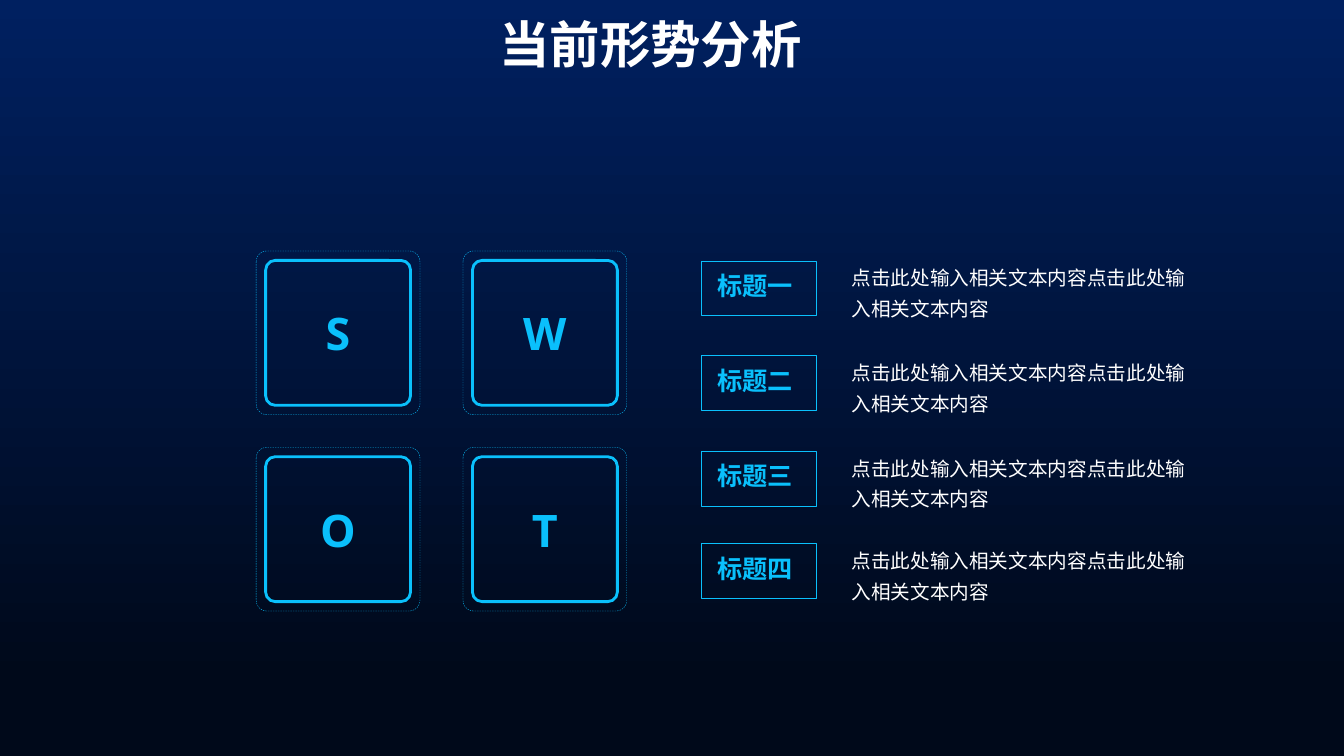
from dataclasses import dataclass

from pptx import Presentation
from pptx.dml.color import RGBColor
from pptx.enum.dml import MSO_LINE
from pptx.enum.shapes import MSO_SHAPE
from pptx.enum.text import MSO_ANCHOR, MSO_AUTO_SIZE, PP_ALIGN
from pptx.oxml.ns import qn
from pptx.util import Emu, Pt

PX = 9525


@dataclass(frozen=True)
class Theme:
    font: str = "Noto Sans"
    accent: RGBColor = RGBColor(0x0A, 0xC0, 0xFC)
    text: RGBColor = RGBColor(0xFF, 0xFF, 0xFF)
    bg_top: RGBColor = RGBColor(0x00, 0x20, 0x60)
    bg_bottom: RGBColor = RGBColor(0x00, 0x09, 0x1A)
    title_size: int = 36
    letter_size: int = 32
    label_size: int = 18
    body_size: int = 14


THEME = Theme()
TILE_LEFT, TILE_TOP = 244, 239
TILE_STEP_X, TILE_STEP_Y = 197, 187
FRAME_SIZE, FRAME_GAP = 156, 9
ROW_LEFT = 668
BODY = "点击此处输入相关文本内容点击此处输入相关文本内容"
ROWS = [(249, "标题一"), (339, "标题二"), (430, "标题三"), (518, "标题四")]


def px(*lengths):
    return [Emu(n * PX) for n in lengths]


def set_background(slide):
    fill = slide.background.fill
    fill.gradient()
    fill.gradient_angle = 270
    top, bottom = fill.gradient_stops
    top.color.rgb = THEME.bg_top
    bottom.color.rgb, bottom.position = THEME.bg_bottom, 0.9


def write(tf, text, size, color, bold=False, align=PP_ALIGN.LEFT):
    """Put one styled run in the first paragraph and return that paragraph."""
    tf.word_wrap = True
    p = tf.paragraphs[0]
    p.alignment = align
    r = p.add_run()
    r.text = text
    r.font.name = THEME.font
    r.font.size = Pt(size)
    r.font.bold = bold
    r.font.color.rgb = color
    ea = r.font._element.makeelement(qn("a:ea"), {"typeface": THEME.font})
    r.font._element.find(qn("a:latin")).addnext(ea)
    return p


def add_outline(shapes, kind, box, width):
    sp = shapes.add_shape(kind, *px(*box))
    sp.shadow.inherit = False
    sp.fill.background()
    sp.line.color.rgb = THEME.accent
    sp.line.width = Pt(width)
    if kind == MSO_SHAPE.ROUNDED_RECTANGLE:
        sp.adjustments[0] = 0.066
    return sp


def add_title(slide, text):
    title = slide.shapes.title
    title.left, title.top, title.width, title.height = px(466, 8, 552, 68)
    tf = title.text_frame
    tf.auto_size = MSO_AUTO_SIZE.NONE
    tf.vertical_anchor = MSO_ANCHOR.TOP
    write(tf, text, THEME.title_size, THEME.text, bold=True)


def add_tile(shapes, left, top, letter):
    """Draw a lettered tile inside a thin dashed frame."""
    size = FRAME_SIZE - 2 * FRAME_GAP
    tile = add_outline(shapes, MSO_SHAPE.ROUNDED_RECTANGLE,
                       (left + FRAME_GAP, top + FRAME_GAP, size, size), 2)
    tile.text_frame.vertical_anchor = MSO_ANCHOR.MIDDLE
    write(tile.text_frame, letter, THEME.letter_size, THEME.accent,
          bold=True, align=PP_ALIGN.CENTER)
    frame = add_outline(shapes, MSO_SHAPE.ROUNDED_RECTANGLE,
                        (left, top, FRAME_SIZE, FRAME_SIZE), 0.25)
    frame.line.dash_style = MSO_LINE.DASH


def add_row(slide, top, label):
    """Group a boxed label with its description."""
    shapes = slide.shapes.add_group_shape().shapes
    add_outline(shapes, MSO_SHAPE.RECTANGLE, (ROW_LEFT, top, 110, 52), 0.75)
    heading = shapes.add_textbox(*px(ROW_LEFT + 6, top + 4, 110, 38))
    write(heading.text_frame, label, THEME.label_size, THEME.accent, bold=True)
    body = shapes.add_textbox(*px(ROW_LEFT + 136, top - 6, 341, 63))
    tf = body.text_frame
    tf.margin_left, tf.margin_top, tf.margin_right, tf.margin_bottom = px(7, 4, 7, 4)
    write(tf, BODY, THEME.body_size, THEME.text).line_spacing = 1.3


def main():
    prs = Presentation()
    prs.slide_width, prs.slide_height = px(1280, 720)
    slide = prs.slides.add_slide(prs.slide_layouts[5])
    set_background(slide)
    add_title(slide, "当前形势分析")
    for i, letter in enumerate("SWOT"):
        row, col = divmod(i, 2)
        add_tile(slide.shapes, TILE_LEFT + col * TILE_STEP_X,
                 TILE_TOP + row * TILE_STEP_Y, letter)
    for top, label in ROWS:
        add_row(slide, top, label)
    prs.save("out.pptx")


if __name__ == "__main__":
    main()
